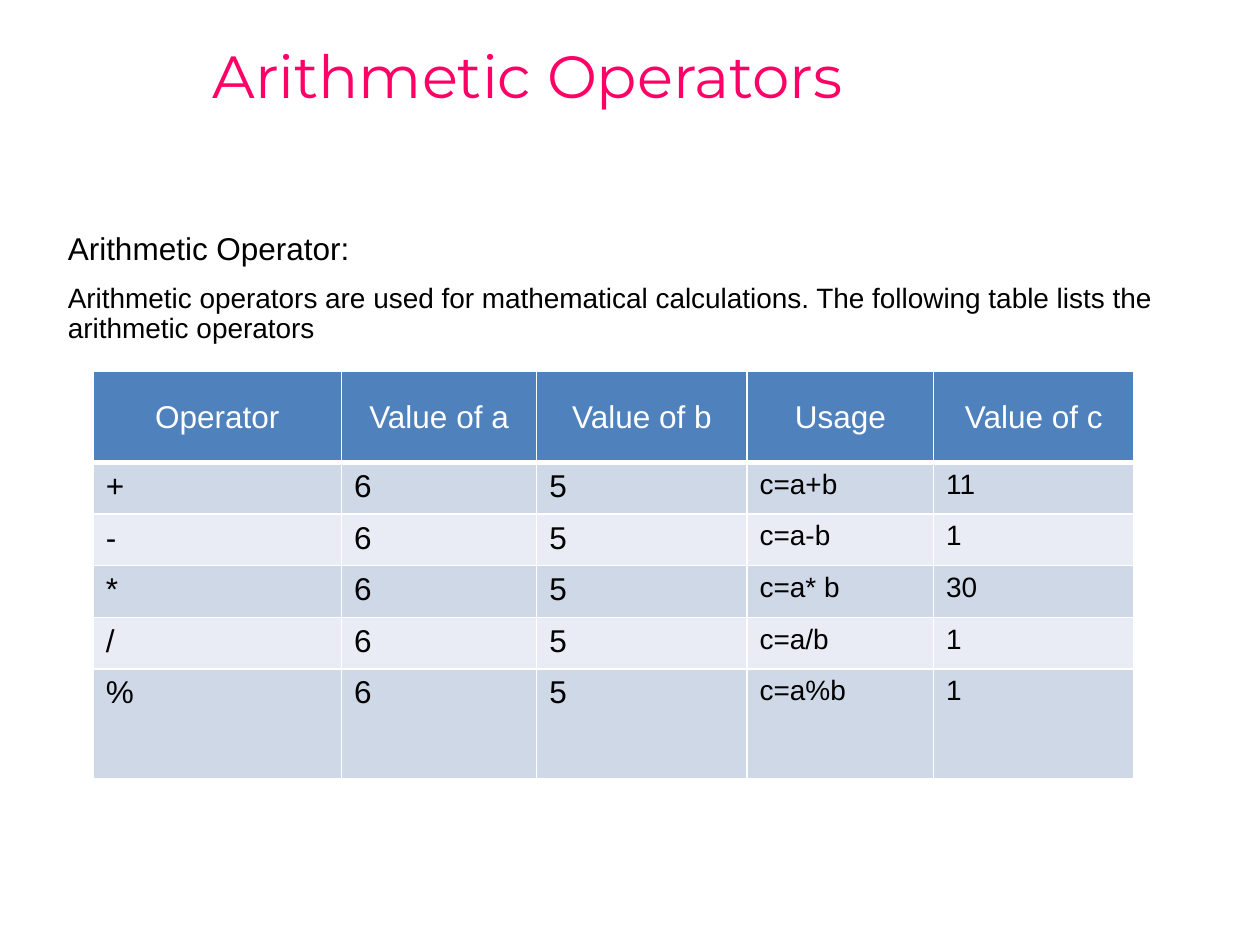
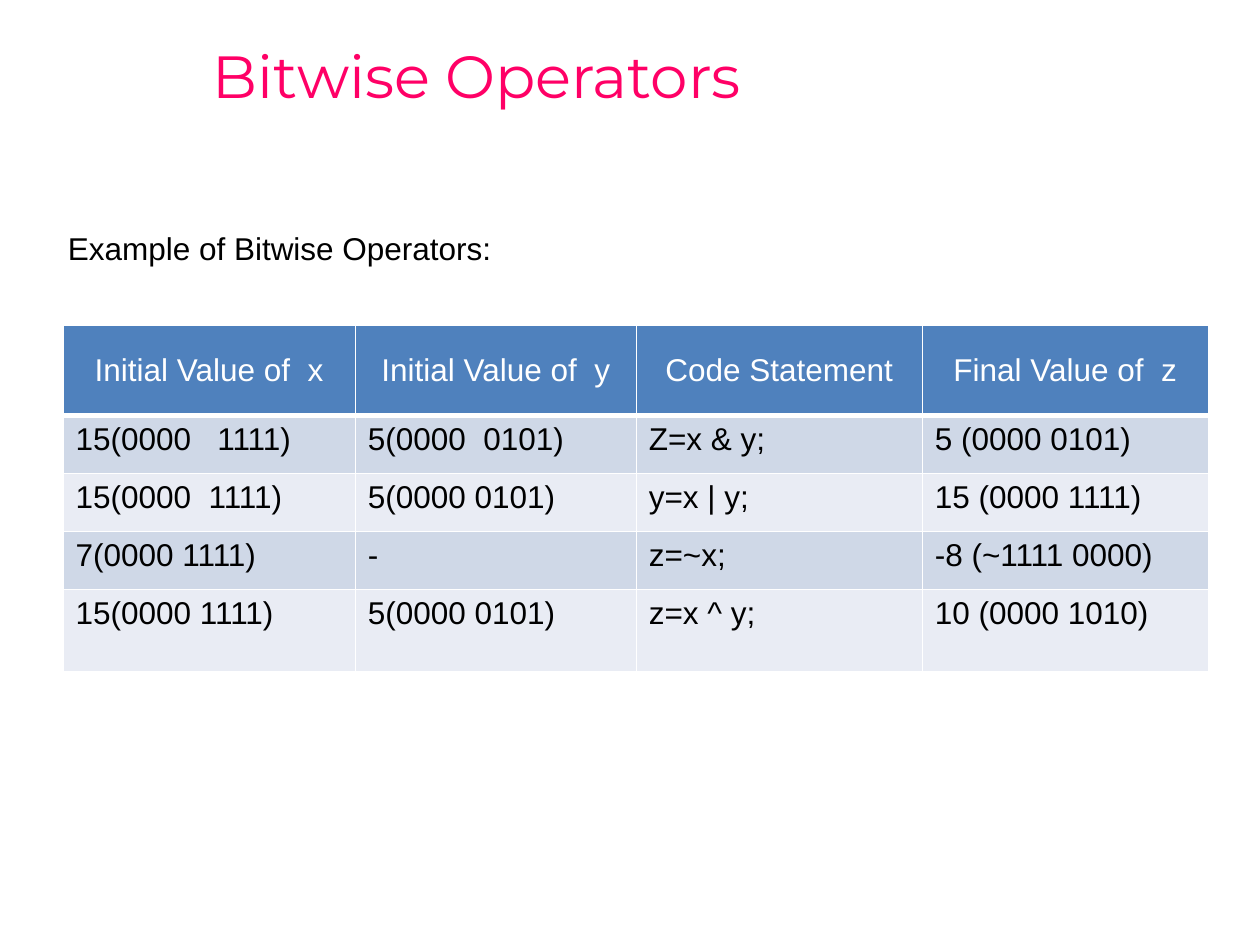
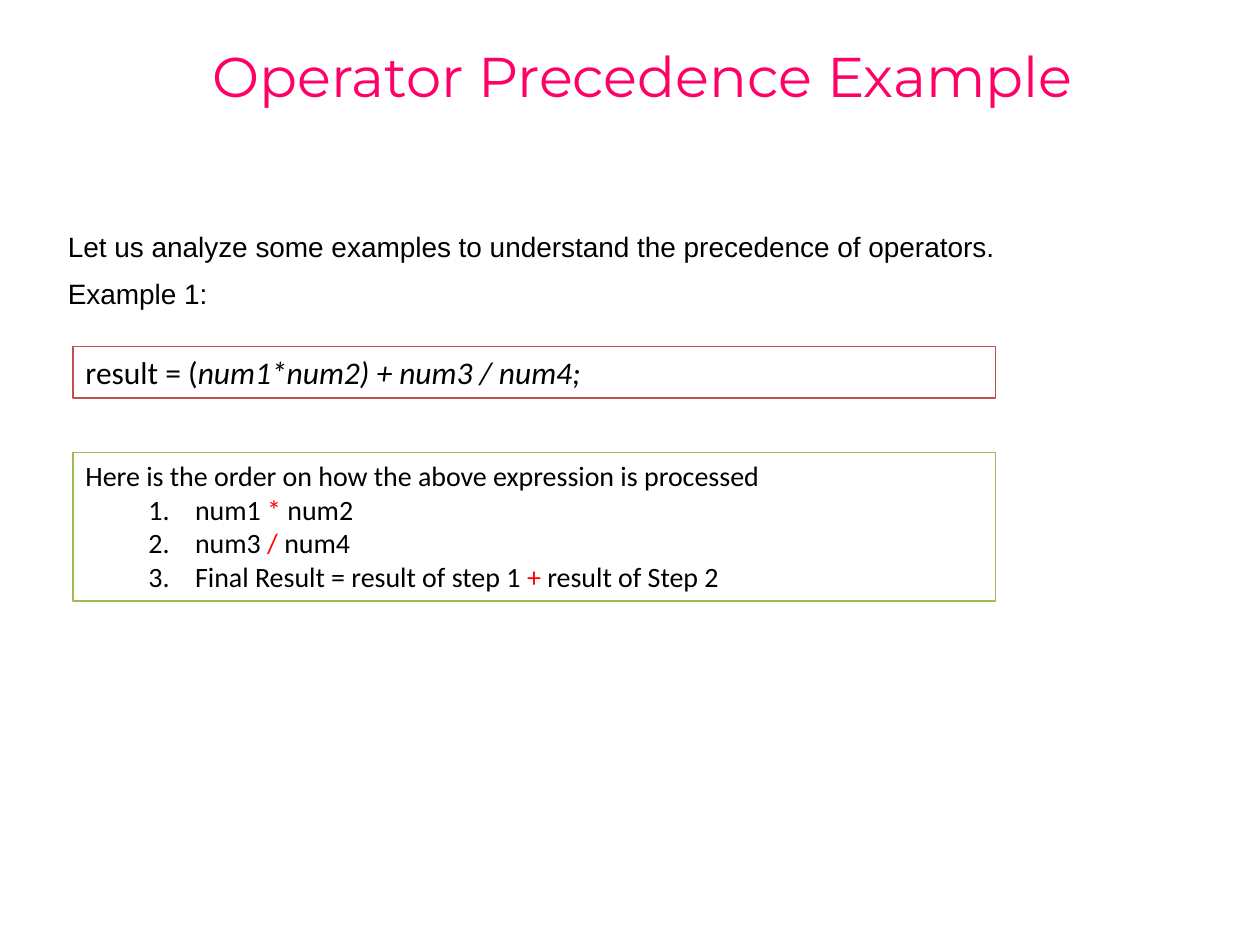
"""Build three slides on operators: two value tables and a precedence example."""
from dataclasses import dataclass

from lxml import etree
from pptx import Presentation
from pptx import util as u
from pptx.dml import color
from pptx.enum import shapes, text
from pptx.oxml import ns


@dataclass(frozen=True)
class Theme:
    """Colours, fonts and type sizes of the deck."""
    pink: str = "FF0066"
    ink: str = "000000"
    paper: str = "FFFFFF"
    mark: str = "FF0000"
    head: str = "4F81BD"
    bands: tuple = ("CFD8E7", "E9ECF4")
    brick: str = "C0504D"
    leaf: str = "9BBB59"
    show: str = "Montserrat"
    sans: str = "Arial"
    note: str = "Calibri"
    large: int = 34
    title: int = 32
    lead: int = 18
    small: int = 16
    thin: float = 0.91
    thick: float = 2.95


T = Theme()
WIDE, HIGH = u.Inches(10), u.Inches(7.5)
COL, ROW = WIDE / 10, HIGH / 7.5


def span(left, top, wide, high):
    """Turn columns and rows of the grid into slide lengths."""
    return int(left * COL), int(top * ROW), int(wide * COL), int(high * ROW)


def rgb(code):
    """Return the colour for a hex code."""
    return color.RGBColor.from_string(code)


def style(run, size, face, ink):
    """Set size, typeface and colour of a run."""
    run.font.size = u.Pt(size)
    run.font.name = face
    run.font.color.rgb = rgb(ink)


def fill(frame, lines, face, ink=T.ink, gap=0, lead=1.0):
    """Write (text, size) lines into a frame."""
    frame.word_wrap = True
    frame.text = "\n".join(line for line, _ in lines)
    for para, (_, size) in zip(frame.paragraphs, lines):
        para.line_spacing = lead
        para.space_before = u.Pt(gap)
        for run in para.runs:
            style(run, size, face, ink)


def begin(deck, name, lines, size=T.large):
    """Add a slide with its title and body text."""
    page = deck.slides.add_slide(deck.slide_layouts[6])
    head = page.shapes.add_textbox(*span(1.59, 0.01, 8.41, 1.24)).text_frame
    fill(head, [(name, size)], T.show, T.pink, lead=0.9)
    head.vertical_anchor = text.MSO_ANCHOR.MIDDLE
    body = page.shapes.add_textbox(*span(0.44, 1.8, 9.06, 4.8)).text_frame
    fill(body, lines, T.sans, gap=10, lead=0.9)
    return page


def edge(cell, sides):
    """Draw the white cell borders, given as side and width."""
    props = cell._tc.get_or_add_tcPr()
    for spot, (side, width) in enumerate(sides.items()):
        line = etree.Element(ns.qn(f"a:ln{side}"), w=str(u.Pt(width)))
        solid = etree.SubElement(line, ns.qn("a:solidFill"))
        etree.SubElement(solid, ns.qn("a:srgbClr"), val=T.paper)
        props.insert(spot, line)


def paint(cell, word, row, size):
    """Fill one table cell as header or banded body."""
    top = row == 0
    cell.margin_top = u.Inches(0.07)
    fill(cell.text_frame, [(word, size)], T.sans,
         T.paper if top else T.ink, lead=0.93)
    if top:
        cell.vertical_anchor = text.MSO_ANCHOR.MIDDLE
        cell.text_frame.paragraphs[0].alignment = text.PP_ALIGN.CENTER
    cell.fill.solid()
    cell.fill.fore_color.rgb = rgb(T.head if top else T.bands[(row - 1) % 2])
    edge(cell, {"L": T.thin, "R": T.thin,
                "T": T.thick if row == 1 else T.thin,
                "B": T.thick if top else T.thin})


def table(page, left, top, cols, rows, data, sizes):
    """Add a banded table with a size for each body column."""
    place = span(left, top, sum(cols), sum(rows))
    grid = page.shapes.add_table(len(rows), len(cols), *place).table
    for col, wide in zip(grid.columns, cols):
        col.width = int(wide * COL)
    for row, high in zip(grid.rows, rows):
        row.height = int(high * ROW)
    for i, words in enumerate(data):
        for j, word in enumerate(words):
            paint(grid.cell(i, j), word, i, sizes[j] if i else T.lead)


def box(page, top, high, edge_ink, line, size):
    """Add an outlined box with one line and return its frame."""
    shape = page.shapes.add_shape(shapes.MSO_SHAPE.RECTANGLE,
                                  *span(0.58, top, 7.32, high))
    shape.shadow.inherit = False
    shape.fill.solid()
    shape.fill.fore_color.rgb = rgb(T.paper)
    shape.line.color.rgb = rgb(edge_ink)
    shape.line.width = u.Pt(0.75)
    frame = shape.text_frame
    fill(frame, [(line, size)], T.note)
    frame.vertical_anchor = text.MSO_ANCHOR.TOP
    frame.paragraphs[0].alignment = text.PP_ALIGN.LEFT
    return frame


def add(para, word, size, ink=T.ink):
    """Append a styled run to a paragraph."""
    run = para.add_run()
    run.text = word
    style(run, size, T.note, ink)
    return run


def step(frame, left, sign, right):
    """Add a numbered step with its operator marked."""
    para = frame.add_paragraph()
    para.level = 1
    para.alignment = text.PP_ALIGN.LEFT
    props = para._p.get_or_add_pPr()
    props.set("marL", str(u.Inches(0.87)))
    props.set("indent", str(u.Inches(-0.37)))
    etree.SubElement(props, ns.qn("a:buFont"), typeface=T.note)
    etree.SubElement(props, ns.qn("a:buAutoNum"), type="arabicPeriod")
    for word, ink in ((left, T.ink), (sign, T.mark), (right, T.ink)):
        add(para, word, T.small, ink)


def sums(deck):
    """Build the arithmetic slide."""
    page = begin(deck, "Arithmetic Operators", [
        ("Arithmetic Operator:", T.lead),
        ("Arithmetic operators are used for mathematical calculations. "
         "The following table lists the arithmetic operators", T.small)])
    cases = [("+", "c=a+b", "11"), ("-", "c=a-b", "1"), ("*", "c=a* b", "30"),
             ("/", "c=a/b", "1"), ("%", "c=a%b", "1")]
    data = [("Operator", "Value of a", "Value of b", "Usage", "Value of c")]
    data += [(sign, "6", "5", code, value) for sign, code, value in cases]
    table(page, 0.74, 2.95, (1.97, 1.55, 1.67, 1.48, 1.59),
          (0.72, *[0.41] * 4, 0.87), data, [T.lead] * 3 + [T.small] * 2)


def bits(deck):
    """Build the bitwise slide."""
    page = begin(deck, "Bitwise Operators",
                 [("Example of Bitwise Operators:", T.lead)])
    data = [
        ("Initial Value of  x", "Initial Value of  y",
         "Code Statement", "Final Value of  z"),
        ("15(0000   1111)", "5(0000  0101)", "Z=x & y;", "5 (0000 0101)"),
        ("15(0000  1111)", "5(0000 0101)", "y=x | y;", "15 (0000 1111)"),
        ("7(0000 1111)", "-", "z=~x;", "-8 (~1111 0000)"),
        ("15(0000 1111)", "5(0000 0101)", "z=x ^ y;", "10 (0000 1010)")]
    table(page, 0.5, 2.58, (2.32, 2.23, 2.27, 2.27),
          (0.72, *[0.46] * 3, 0.65), data, [T.lead] * 4)


def order(deck):
    """Build the precedence slide."""
    page = begin(deck, "Operator Precedence Example", [
        ("Let us analyze some examples to understand the precedence "
         "of operators.", T.small),
        ("Example 1:", T.small)], T.title)
    code = box(page, 2.75, 0.41, T.brick, "result = (", T.lead)
    rest = add(code.paragraphs[0], "num1*num2) + num3 / num4;", T.lead)
    rest.font.italic = True
    steps = box(page, 3.59, 1.18, T.leaf,
                "Here is the order on how the above expression is processed",
                T.small)
    for parts in (("num1 ", "*", " num2"), ("num3 ", "/", " num4"),
                  ("Final Result = result of step 1 ", "+",
                   " result of Step 2")):
        step(steps, *parts)


def main():
    """Build and save the deck."""
    deck = Presentation()
    deck.slide_width, deck.slide_height = WIDE, HIGH
    for build in (sums, bits, order):
        build(deck)
    deck.save("out.pptx")


if __name__ == "__main__":
    main()
